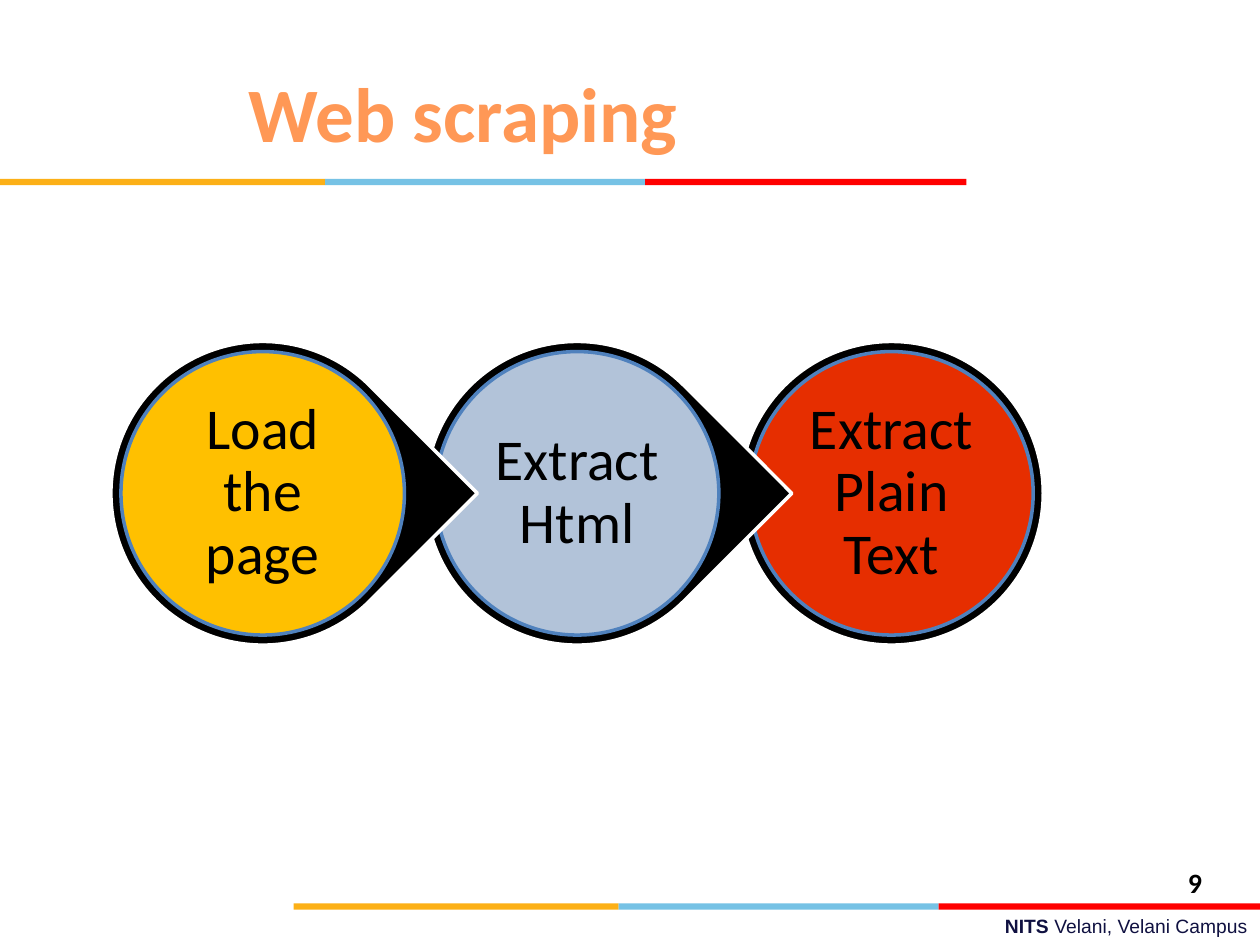
from dataclasses import dataclass

from lxml import etree
from pptx import Presentation
from pptx.dml.color import RGBColor
from pptx.enum.shapes import MSO_SHAPE
from pptx.enum.text import MSO_ANCHOR, PP_ALIGN
from pptx.oxml.ns import qn
from pptx.util import Inches, Pt

RECT, OVAL, TEAR = MSO_SHAPE.RECTANGLE, MSO_SHAPE.OVAL, MSO_SHAPE.TEAR
LEFT, CENTER, RIGHT = PP_ALIGN.LEFT, PP_ALIGN.CENTER, PP_ALIGN.RIGHT
TOP, MIDDLE = MSO_ANCHOR.TOP, MSO_ANCHOR.MIDDLE

SLIDE_W, SLIDE_H = 10, 7.5
COLORS = {
    "gold": "FCB017", "sky": "76C2E5", "red": "FF0000",
    "title": "FF9856", "navy": "101141", "black": "000000",
    "white": "FFFFFF", "outline": "4F81BD",
    "load": "FFC000", "html": "C6D9F1", "plain": "FF3300",
}
STRIPES = (("gold", 2.58), ("sky", 2.54), ("red", 2.55))
STRIPE_H = 0.05

FIRST_X, CENTER_Y, PITCH = 2.085, 3.915, 2.495
RING, DISC, LABEL = 2.41, 2.25, 1.61


@dataclass
class Step:
    text: str
    color: str
    opacity: int = 100


STEPS = (
    Step("Load the page", "load"),
    Step("Extract Html", "html", 90),
    Step("Extract Plain Text", "plain", 90),
)


def rgb(name: str) -> RGBColor:
    return RGBColor.from_string(COLORS[name])


def add_filled(slide, kind, x: float, y: float, w: float, h: float, fill: str,
               line: str | None = None, opacity: int = 100):
    sp = slide.shapes.add_shape(kind, Inches(x), Inches(y), Inches(w), Inches(h))
    sp.shadow.inherit = False
    sp.fill.solid()
    sp.fill.fore_color.rgb = rgb(fill)
    if opacity < 100:
        clr = sp.fill._xPr.find(qn("a:solidFill"))[0]
        etree.SubElement(clr, qn("a:alpha"), val=str(opacity * 1000))
    if line:
        sp.line.color.rgb = rgb(line)
        sp.line.width = Pt(2)
    else:
        sp.line.fill.background()
    return sp


def write(tf, *runs: tuple[str, bool], size: float, color: str = "black",
          font: str = "Calibri", align=LEFT, anchor=TOP,
          inset: float | None = None, spacing: float | None = None) -> None:
    """Fill a text frame with one paragraph of (text, bold) runs."""
    tf.word_wrap = True
    tf.vertical_anchor = anchor
    if inset is not None:
        tf.margin_left = tf.margin_right = Inches(inset)
        tf.margin_top = tf.margin_bottom = Inches(inset)
    p = tf.paragraphs[0]
    p.alignment = align
    if spacing:
        p.line_spacing = spacing
    for text, bold in runs:
        r = p.add_run()
        r.text = text
        r.font.name, r.font.size, r.font.bold = font, Pt(size), bold
        r.font.color.rgb = rgb(color)


def add_text(slide, x: float, y: float, w: float, h: float,
             *runs: tuple[str, bool], **fmt) -> None:
    box = slide.shapes.add_textbox(Inches(x), Inches(y), Inches(w), Inches(h))
    write(box.text_frame, *runs, **fmt)


def add_stripes(slide, x: float, y: float) -> None:
    for color, width in STRIPES:
        add_filled(slide, RECT, x, y, width, STRIPE_H, color)
        x += width


def add_step(slide, i: int, step: Step) -> None:
    """Draw a ring, pointed unless it is the last one, with disc and label."""
    def box(side: float) -> tuple[float, float, float, float]:
        return FIRST_X + i * PITCH - side / 2, CENTER_Y - side / 2, side, side

    last = i == len(STEPS) - 1
    ring = add_filled(slide, OVAL if last else TEAR, *box(RING), "black", "white")
    if not last:
        ring.adjustments[0] = 1
        ring.rotation = 45
    add_filled(slide, OVAL, *box(DISC), step.color, "outline", step.opacity)
    add_text(slide, *box(LABEL), (step.text, False), size=33, align=CENTER,
             anchor=MIDDLE, inset=0.05, spacing=0.9)


def main() -> None:
    prs = Presentation()
    prs.slide_width, prs.slide_height = Inches(SLIDE_W), Inches(SLIDE_H)
    slide = prs.slides.add_slide(prs.slide_layouts[5])

    title = slide.shapes.title
    title.left, title.top = Inches(0.33), Inches(0.42)
    title.width, title.height = Inches(6.69), Inches(0.93)
    write(title.text_frame, ("Web scraping", True), size=44, color="title",
          align=CENTER, anchor=MIDDLE)

    add_stripes(slide, 0, 1.42)
    add_stripes(slide, SLIDE_W - sum(w for _, w in STRIPES), 7.17)
    add_text(slide, 3.58, 7.21, 6.42, 0.29, ("NITS ", True),
             ("Velani, Velani Campus", False), size=11, color="navy",
             font="Arial", align=RIGHT)
    add_text(slide, 9.33, 6.82, 0.67, 0.32, ("9", True), size=16)

    # Right to left, so that each point overlaps the next ring
    for i, step in reversed(list(enumerate(STEPS))):
        add_step(slide, i, step)

    prs.save("out.pptx")


if __name__ == "__main__":
    main()
